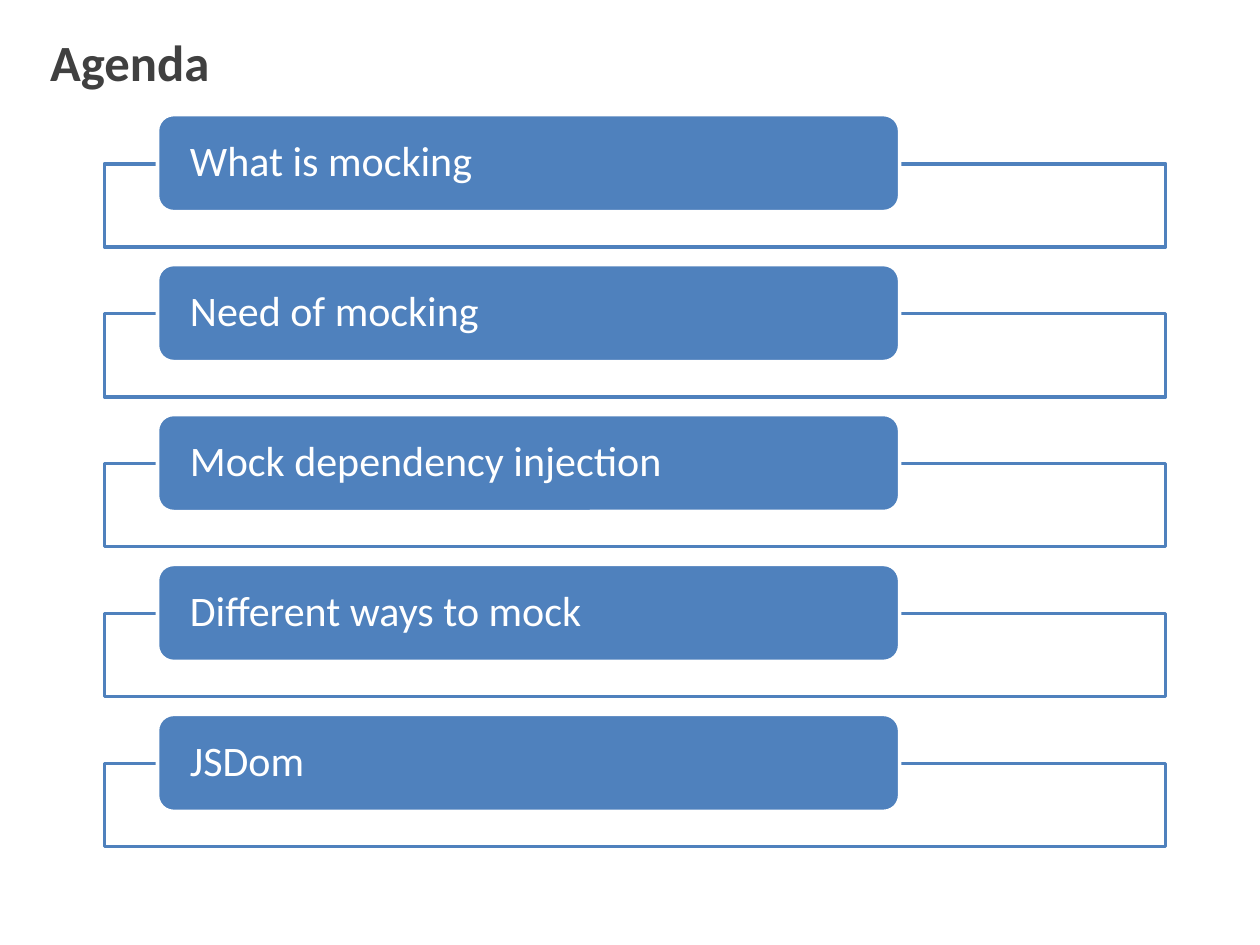
from pptx import Presentation
from pptx.dml.color import RGBColor
from pptx.enum import shapes, text
from pptx.util import Inches, Pt

COLORS = {"title": "404040", "accent": "4F81BD", "white": "FFFFFF"}
FONT = "Calibri"
TOPICS = [
    "What is mocking",
    "Need of mocking",
    "Mock dependency injection",
    "Different ways to mock",
    "JSDom",
]
FIRST_TOP, PITCH = 0.91, 1.19

presentation = Presentation()
presentation.slide_width = Inches(10)
presentation.slide_height = Inches(7.5)
slide = presentation.slides.add_slide(presentation.slide_layouts[6])


def add_box(kind, left, top, width, height, fill, line):
    shape = slide.shapes.add_shape(
        kind, Inches(left), Inches(top), Inches(width), Inches(height))
    shape.shadow.inherit = False
    shape.fill.solid()
    shape.fill.fore_color.rgb = RGBColor.from_string(COLORS[fill])
    shape.line.color.rgb = RGBColor.from_string(COLORS[line])
    shape.line.width = Pt(2)
    return shape


def write(shape, words, size, color, inset, bold=False):
    frame = shape.text_frame
    frame.word_wrap = True
    frame.vertical_anchor = text.MSO_ANCHOR.MIDDLE
    frame.margin_left = frame.margin_right = Inches(inset)
    frame.margin_top = frame.margin_bottom = 0
    frame.text = words
    paragraph = frame.paragraphs[0]
    paragraph.alignment = text.PP_ALIGN.LEFT
    font = paragraph.runs[0].font
    font.name, font.size, font.bold = FONT, Pt(size), bold
    font.color.rgb = RGBColor.from_string(COLORS[color])
    return paragraph


# Title
title = slide.shapes.add_textbox(Inches(0.3), Inches(0.17), Inches(9.36), Inches(0.63))
write(title, "Agenda", 29, "title", 0.1, bold=True)

# Agenda rows: an outlined frame with a topic label over its top edge
for row, topic in enumerate(TOPICS):
    top = FIRST_TOP + row * PITCH
    frame_box = add_box(shapes.MSO_SHAPE.RECTANGLE, 0.83, top + 0.39, 8.42, 0.66,
                        "white", "accent")
    frame_box.name = f"Frame {row + 1}"
    label = add_box(shapes.MSO_SHAPE.ROUNDED_RECTANGLE, 1.25, top, 5.89, 0.77,
                    "accent", "white")
    label.name = f"Topic {row + 1}"
    # The rounded corners already inset the text by about 0.04
    paragraph = write(label, topic, 24, "white", 0.22)
    paragraph.line_spacing = 0.9

presentation.save("out.pptx")
